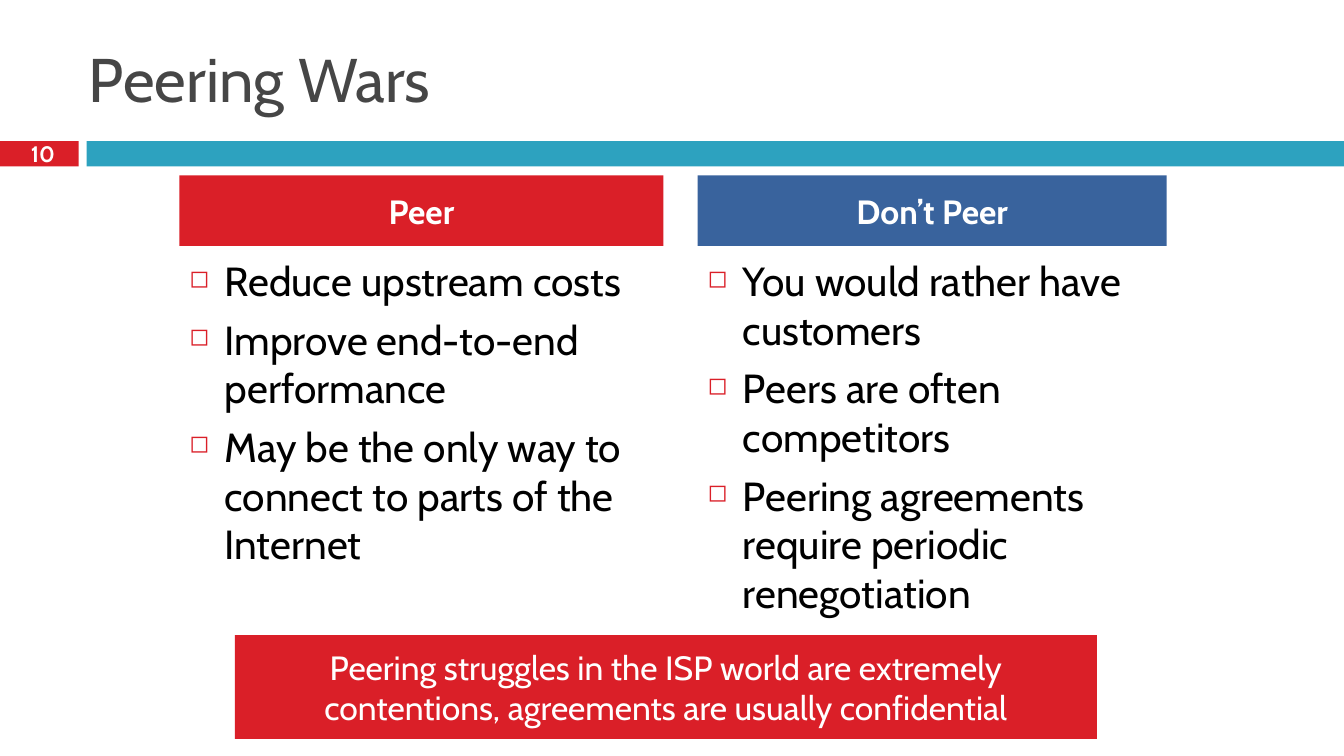
from lxml import etree
from pptx import Presentation
from pptx.dml.color import RGBColor
from pptx.enum.shapes import MSO_SHAPE
from pptx.enum.text import MSO_ANCHOR, MSO_AUTO_SIZE, PP_ALIGN
from pptx.oxml.ns import qn
from pptx.util import Inches, Pt

RED = RGBColor(0xDA, 0x1F, 0x28)
TEAL = RGBColor(0x2D, 0xA2, 0xBF)
BLUE = RGBColor(0x39, 0x63, 0x9D)
GREY = RGBColor(0x46, 0x46, 0x46)
BLACK = RGBColor(0, 0, 0)
WHITE = RGBColor(0xFF, 0xFF, 0xFF)
FONT = "Cabin"
RECT = MSO_SHAPE.RECTANGLE
LEFT, CENTER = PP_ALIGN.LEFT, PP_ALIGN.CENTER
TOP, MIDDLE = MSO_ANCHOR.TOP, MSO_ANCHOR.MIDDLE
FIXED = MSO_AUTO_SIZE.NONE

# heading, colour, left, width, list height, points
SIDES = [
    ("Peer", RED, 1.78, 4.8, 3.92, [
        "Reduce upstream costs",
        "Improve end-to-end performance",
        "May be the only way to connect to parts of the Internet"]),
    ("Don’t Peer", BLUE, 6.92, 4.65, 4.36, [
        "You would rather have customers",
        "Peers are often competitors",
        "Peering agreements require periodic renegotiation"]),
]


def add_bullet(para):
    """Give the paragraph a hanging red square."""
    props = para._p.get_or_add_pPr()
    indent = Inches(0.35)
    props.set("marL", str(indent))
    props.set("indent", str(-indent))
    color = etree.SubElement(props, qn("a:buClr"))
    etree.SubElement(color, qn("a:srgbClr"), val=str(RED))
    etree.SubElement(props, qn("a:buSzPct"), val="60000")
    etree.SubElement(props, qn("a:buChar"), char="◻")


def write(shape, lines, size, color, bold=False, align=CENTER,
          anchor=MIDDLE, before=0, bullet=False):
    frame = shape.text_frame
    frame.text = "\n".join(lines)
    frame.word_wrap = True
    frame.auto_size = FIXED
    frame.vertical_anchor = anchor
    for para in frame.paragraphs:
        para.alignment = align
        para.space_before = Pt(before)
        font = para.runs[0].font
        font.name, font.size, font.bold = FONT, Pt(size), bold
        font.color.rgb = color
        if bullet:
            add_bullet(para)


def add_bar(slide, box, color):
    bar = slide.shapes.add_shape(RECT, *map(Inches, box))
    bar.shadow.inherit = False
    bar.fill.solid()
    bar.fill.fore_color.rgb = color
    bar.line.fill.background()
    return bar


def add_text(slide, box, lines, **style):
    write(slide.shapes.add_textbox(*map(Inches, box)), lines, **style)


def add_title(slide, box, text):
    title = slide.shapes.title
    title.left, title.top, title.width, title.height = map(Inches, box)
    write(title, [text], size=44, color=GREY, align=LEFT)


def add_side(slide, head, color, left, width, height, points):
    """Draw one column: heading bar over its bullet list."""
    add_text(slide, (left, 2.49, width, height), points, size=29, color=BLACK,
             align=LEFT, anchor=TOP, before=7, bullet=True)
    bar = add_bar(slide, (left, 1.74, width, 0.7), color)
    write(bar, [head], size=24, color=WHITE, bold=True, before=7)


def main():
    deck = Presentation()
    deck.slide_width, deck.slide_height = Inches(13.33), Inches(7.5)
    slide = deck.slides.add_slide(deck.slide_layouts[5])

    add_bar(slide, (0, 1.4, 0.78, 0.25), RED)
    add_bar(slide, (0.86, 1.4, 12.47, 0.25), TEAL)
    add_title(slide, (0.78, 0.3, 11.89, 0.95), "Peering Wars")
    add_text(slide, (-0.01, 1.38, 0.87, 0.29), ["10"],
             size=16, color=WHITE, bold=True)
    for side in SIDES:
        add_side(slide, *side)
    note = add_bar(slide, (2.33, 6.3, 8.55, 1.03), RED)
    write(note, ["Peering struggles in the ISP world are extremely "
                 "contentions, agreements are usually confidential"],
          size=24, color=WHITE, before=7)

    deck.save("out.pptx")


if __name__ == "__main__":
    main()
